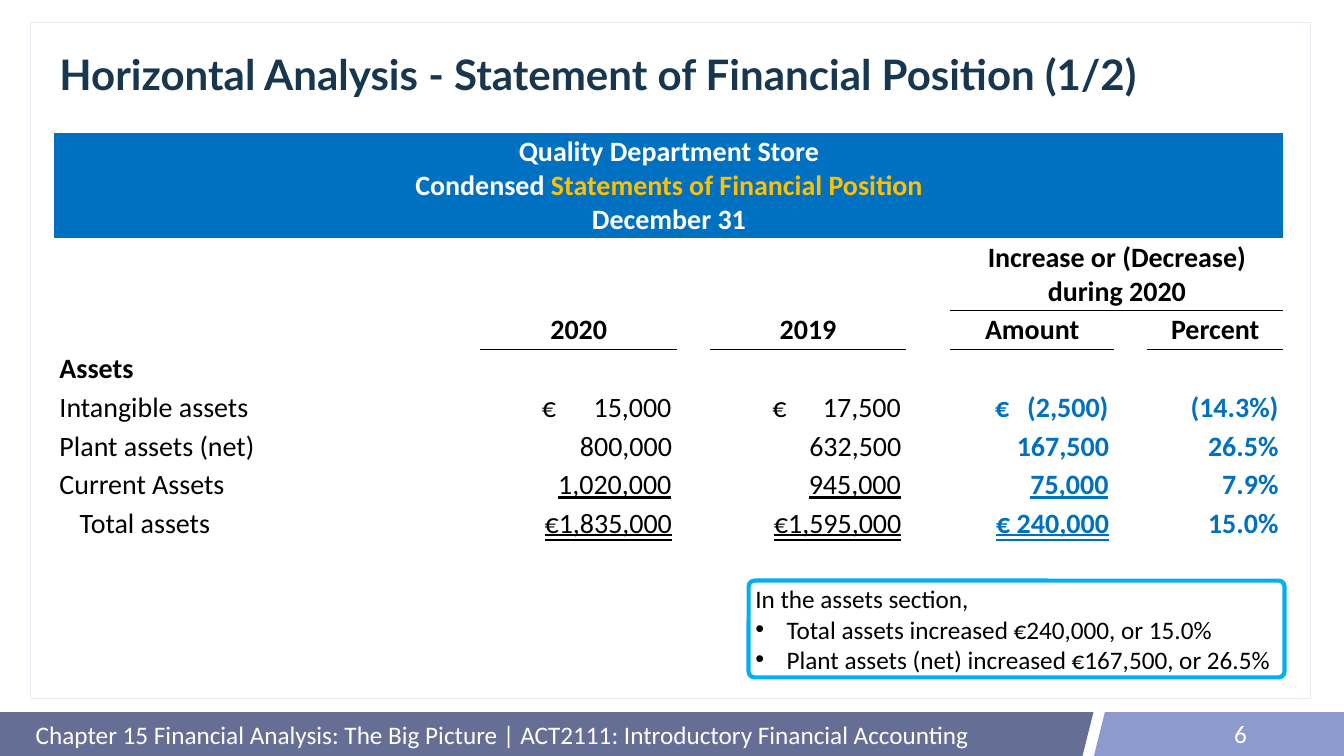
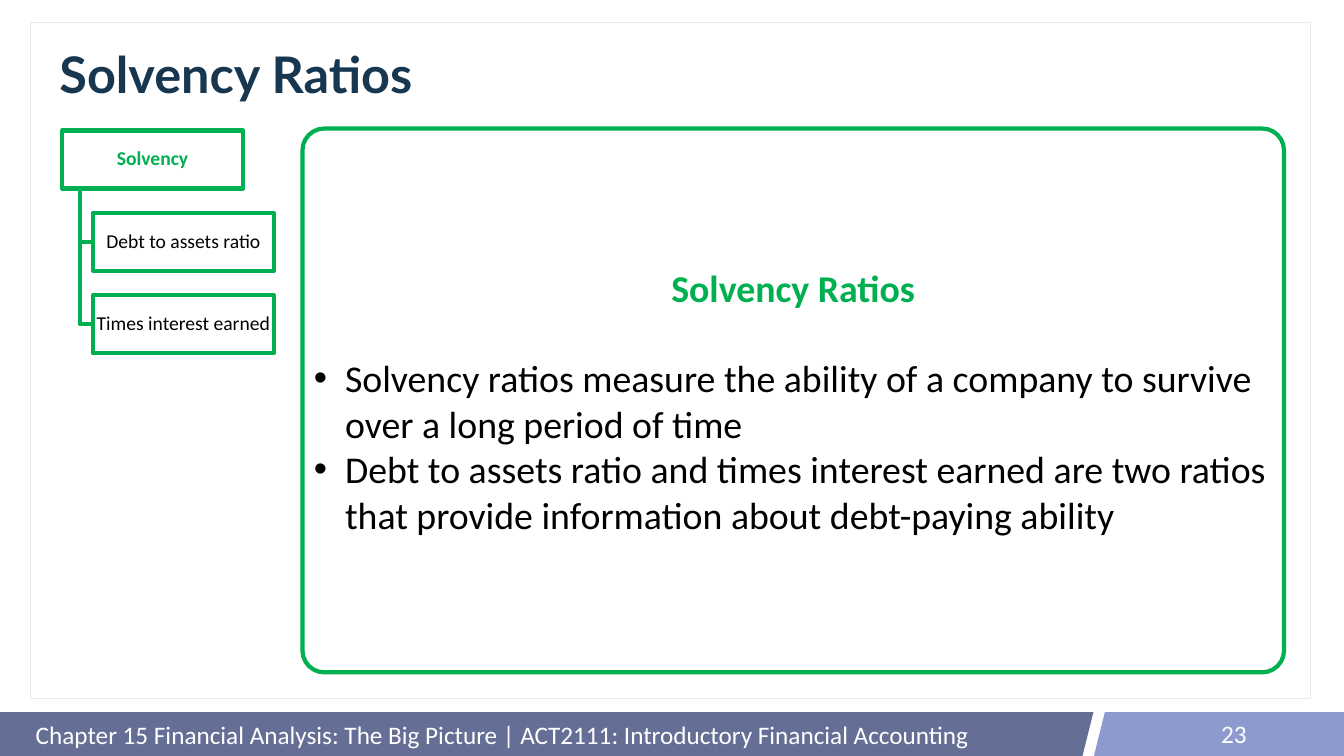
"""Builds two slides on horizontal analysis and solvency ratios."""
from dataclasses import dataclass
from typing import Optional

from lxml.etree import SubElement
from pptx import Presentation
from pptx.dml.color import RGBColor
from pptx.enum.shapes import MSO_SHAPE as SHAPE
from pptx.enum.text import MSO_ANCHOR as ANCHOR, MSO_UNDERLINE as UNDERLINE, PP_ALIGN as ALIGN
from pptx.oxml import parse_xml
from pptx.oxml.ns import nsdecls, qn
from pptx.util import Inches, Pt


@dataclass(frozen=True)
class Theme:
    navy: str = "17364F"
    slate: str = "656E95"
    lavender: str = "8D9ACE"
    frame: str = "E8EBF5"
    blue: str = "0070C0"
    cyan: str = "00B0F0"
    green: str = "00B050"
    gold: str = "FFC000"
    white: str = "FFFFFF"
    black: str = "000000"
    title_font: str = "Lato"
    body_font: str = "Calibri"
    table_size: int = 40
    footer_size: int = 36
    note_size: int = 36
    panel_size: int = 54
    node_size: int = 28
    heavy: int = 6


@dataclass(frozen=True)
class Box:
    left: float
    top: float
    width: float
    height: float

    def emu(self) -> tuple:
        return tuple(Inches(v) for v in (self.left, self.top, self.width, self.height))


@dataclass(frozen=True)
class Band:
    kind: SHAPE
    box: Box
    color: str


@dataclass(frozen=True)
class AssetRow:
    label: str
    values: tuple
    underline: Optional[UNDERLINE] = None
    shift: float = 0
    indent: float = 0


T = Theme()
FOOTER = "Chapter 15 Financial Analysis: The Big Picture | ACT2111: Introductory Financial Accounting"
BAND_TOP, BAND_H = 14.13, 0.87
BANDS = (
    Band(SHAPE.RECTANGLE, Box(0, BAND_TOP, 19.95, BAND_H), T.slate),
    Band(SHAPE.PARALLELOGRAM, Box(17.39, BAND_TOP, 4.3, BAND_H), T.slate),
    Band(SHAPE.PARALLELOGRAM, Box(21.7, BAND_TOP, 4.3, BAND_H), T.lavender),
    Band(SHAPE.RECTANGLE, Box(22.37, BAND_TOP, 4.29, BAND_H), T.lavender),
)
COLUMNS = (8.45, 3.9, 0.65, 3.9, 0.87, 3.25, 0.65, 2.71)
ROWS = (1.93, 1.35) + (0.77,) * 6
VALUE_COLUMNS = (1, 3, 5, 7)
TAB_MARGIN = {1: 1.22, 3: 1.24, 5: 0.89}
ASSETS = (
    AssetRow("Intangible assets", ("€\t15,000", "€\t17,500", "€\t(2,500)", "(14.3%)")),
    AssetRow("Plant assets (net)", ("800,000", "632,500", "167,500", "26.5%")),
    AssetRow("Current Assets", ("\t1,020,000", "\t945,000", "\t75,000", "7.9%"),
             UNDERLINE.SINGLE_LINE, shift=0.1),
    AssetRow("Total assets", ("€1,835,000", "€1,595,000", "€ 240,000", "15.0%"),
             UNDERLINE.DOUBLE_LINE, indent=0.4),
)


def style(p, size: int, color: str, bold: bool = False, font: str = T.body_font,
          align: ALIGN = ALIGN.LEFT) -> None:
    """Format a paragraph and all its runs."""
    p.alignment = align
    for r in p.runs:
        r.font.name, r.font.size, r.font.bold = font, Pt(size), bold
        r.font.color.rgb = RGBColor.from_string(color)


def bullet(p) -> None:
    """Give a paragraph a hanging bullet."""
    pPr = p._p.get_or_add_pPr()
    pPr.set("marL", str(Inches(0.62)))
    pPr.set("indent", str(-Inches(0.62)))
    SubElement(pPr, qn("a:buFont")).set("typeface", "Arial")
    SubElement(pPr, qn("a:buChar")).set("char", "•")


def right_tab(p, position: float) -> None:
    """Add one right-aligned tab stop."""
    tabs = SubElement(p._p.get_or_add_pPr(), qn("a:tabLst"))
    tab = SubElement(tabs, qn("a:tab"))
    tab.set("pos", str(Inches(position)))
    tab.set("algn", "r")


def add_box(s, kind: SHAPE, box: Box, fill: str, line: Optional[str] = None,
            width: float = T.heavy, radius: Optional[float] = None):
    """Draw a flat filled shape."""
    sp = s.shapes.add_shape(kind, *box.emu())
    sp.shadow.inherit = False
    sp.fill.solid()
    sp.fill.fore_color.rgb = RGBColor.from_string(fill)
    if line:
        sp.line.color.rgb = RGBColor.from_string(line)
        sp.line.width = Pt(width)
    else:
        sp.line.fill.background()
    if radius is not None:
        sp.adjustments[0] = radius
    sp.text_frame.word_wrap = True
    sp.text_frame.vertical_anchor = ANCHOR.MIDDLE
    return sp


def add_label(s, box: Box, text: str, align: ALIGN) -> None:
    """Write one footer text."""
    tf = s.shapes.add_textbox(*box.emu()).text_frame
    tf.word_wrap = True
    tf.vertical_anchor = ANCHOR.MIDDLE
    tf.text = text
    style(tf.paragraphs[0], T.footer_size, T.white, align=align)


def add_slide(prs, title: str, size: int, number: int):
    """Add a slide with the shared frame, title and footer."""
    s = prs.slides.add_slide(prs.slide_layouts[5])
    for band in BANDS:
        add_box(s, band.kind, band.box, band.color)
    frame = add_box(s, SHAPE.RECTANGLE, Box(0.61, 0.44, 25.39, 13.41), T.white, T.frame, 1)
    color = frame.element.spPr.find(qn("a:solidFill"))[0]
    SubElement(color, qn("a:alpha")).set("val", "85000")
    sp = s.shapes.title
    sp.element.getparent().append(sp.element)
    sp.left, sp.top, sp.width, sp.height = Box(1.08, 0.8, 24.39, 1.45).emu()
    tf = sp.text_frame
    tf.text = title
    tf.vertical_anchor = ANCHOR.MIDDLE
    p = tf.paragraphs[0]
    p.line_spacing = 0.9
    style(p, size, T.navy, True, T.title_font)
    add_label(s, Box(0.61, 14.15, 20.6, 0.85), FOOTER, ALIGN.LEFT)
    add_label(s, Box(18.83, 14.15, 6, 0.8), str(number), ALIGN.RIGHT)
    return s


def rule(cell, *edges: str) -> None:
    """Draw black lines on cell edges, listed from bottom to top."""
    for edge in edges:
        cell._tc.get_or_add_tcPr().insert(0, parse_xml(
            f'<a:{edge} {nsdecls("a")} w="12700"><a:solidFill>'
            f'<a:srgbClr val="{T.black}"/></a:solidFill></a:{edge}>'))


def write(cell, text: str, color: str = T.black, bold: bool = True,
          align: ALIGN = ALIGN.CENTER):
    """Fill a cell with one formatted paragraph."""
    cell.text = text
    p = cell.text_frame.paragraphs[0]
    style(p, T.table_size, color, bold, align=align)
    return p


def add_asset_row(tbl, i: int, row: AssetRow) -> None:
    """Fill one line of the statement."""
    label = tbl.cell(i, 0)
    write(label, row.label, bold=False, align=ALIGN.LEFT)
    label.margin_left = Inches(0.1 + row.indent)
    for col, value in zip(VALUE_COLUMNS, row.values):
        change = col >= 5
        cell = tbl.cell(i, col)
        tabbed = "\t" in value
        p = write(cell, value, T.blue if change else T.black, change,
                  ALIGN.LEFT if tabbed else ALIGN.RIGHT)
        if tabbed:
            margin = TAB_MARGIN[col] + row.shift
            cell.margin_left = Inches(margin)
            right_tab(p, COLUMNS[col] - margin - 0.11)
        if row.underline and col != 7:
            p.runs[0].font.underline = row.underline


def add_statement(s) -> None:
    """Draw the comparative statement table."""
    box = Box(1.08, 2.63, sum(COLUMNS), sum(ROWS))
    tbl = s.shapes.add_table(len(ROWS), len(COLUMNS), *box.emu()).table
    tbl.first_row = tbl.horz_banding = False
    tbl._tbl.tblPr.find(qn("a:tableStyleId")).text = "{2D5ABB26-0587-4C30-8999-92F81FD0307C}"
    for column, width in zip(tbl.columns, COLUMNS):
        column.width = Inches(width)
    for row, height in zip(tbl.rows, ROWS):
        row.height = Inches(height)
    for cell in tbl.iter_cells():
        cell.fill.background()

    head = tbl.cell(0, 0)
    head.merge(tbl.cell(0, 7))
    head.fill.solid()
    head.fill.fore_color.rgb = RGBColor.from_string(T.blue)
    head.text = "Quality Department Store\nCondensed \nDecember 31"
    paragraphs = head.text_frame.paragraphs
    paragraphs[1].add_run().text = "Statements of Financial Position"
    for p in paragraphs:
        style(p, T.table_size, T.white, True, align=ALIGN.CENTER)
    paragraphs[1].runs[1].font.color.rgb = RGBColor.from_string(T.gold)

    tbl.cell(1, 5).merge(tbl.cell(1, 7))
    write(tbl.cell(1, 5), "Increase or (Decrease) during 2020")
    for col, text in zip(VALUE_COLUMNS, ("2020", "2019", "Amount", "Percent")):
        cell = tbl.cell(2, col)
        write(cell, text)
        rule(cell, *(("lnB", "lnT") if col >= 5 else ("lnB",)))
    write(tbl.cell(3, 0), "Assets", align=ALIGN.LEFT)
    for i, row in enumerate(ASSETS, 4):
        add_asset_row(tbl, i, row)


def add_listing(sp, heading: str, items: tuple, size: int) -> list:
    """Write a heading and bulleted items into a shape."""
    tf = sp.text_frame
    tf.text = "\n".join((heading, *items))
    for i, p in enumerate(tf.paragraphs):
        if i:
            bullet(p)
        style(p, size, T.black)
    return list(tf.paragraphs)


def add_tree(s, root: str, leaves: tuple) -> None:
    """Draw the ratio hierarchy with its elbow lines."""
    left, top, width, height, pitch, step = 1.23, 2.59, 3.59, 1.15, 1.635, 0.61
    trunk, bottom = left + 0.35, top + height
    for i in range(len(leaves), 0, -1):
        middle = top + i * pitch + height / 2
        points = [(trunk, middle), (left + step, middle)]
        pen = s.shapes.build_freeform(Inches(trunk), Inches(bottom))
        pen.add_line_segments([(Inches(x), Inches(y)) for x, y in points], close=False)
        elbow = pen.convert_to_shape()
        elbow.shadow.inherit = False
        elbow.fill.background()
        elbow.line.color.rgb = RGBColor.from_string(T.green)
        elbow.line.width = Pt(T.heavy)
    for i, text in enumerate((root, *leaves)):
        box = Box(left + (step if i else 0), top + i * pitch, width, height)
        tf = add_box(s, SHAPE.RECTANGLE, box, T.white, T.green).text_frame
        tf.margin_left = tf.margin_right = tf.margin_top = tf.margin_bottom = Inches(0.02)
        tf.text = text
        p = tf.paragraphs[0]
        p.line_spacing = 0.9
        style(p, T.node_size, T.black if i else T.green, not i, align=ALIGN.CENTER)


def main() -> None:
    """Build and save both slides."""
    prs = Presentation()
    prs.slide_width, prs.slide_height = Inches(26.66), Inches(15)

    s = add_slide(prs, "Horizontal Analysis - Statement of Financial Position (1/2)", 60, 6)
    add_statement(s)
    note = add_box(s, SHAPE.ROUNDED_RECTANGLE, Box(14.85, 11.52, 10.63, 1.92),
                   T.white, T.cyan, radius=0.06)
    add_listing(note, "In the assets section,", (
        "Total assets increased €240,000, or 15.0%",
        "Plant assets (net) increased €167,500, or 26.5%"), T.note_size)

    s = add_slide(prs, "Solvency Ratios", 72, 23)
    panel = add_box(s, SHAPE.ROUNDED_RECTANGLE, Box(6, 2.55, 19.47, 10.79),
                    T.white, T.green, radius=0.04)
    heading, first, _ = add_listing(panel, "Solvency Ratios", (
        "Solvency ratios measure the ability of a company to survive over a long period of time",
        "Debt to assets ratio and times interest earned are two ratios that provide "
        "information about debt-paying ability"), T.panel_size)
    style(heading, T.panel_size, T.green, True, align=ALIGN.CENTER)
    first.space_before = Pt(65)
    add_tree(s, "Solvency", ("Debt to assets ratio", "Times interest earned"))
    prs.save("out.pptx")


if __name__ == "__main__":
    main()
